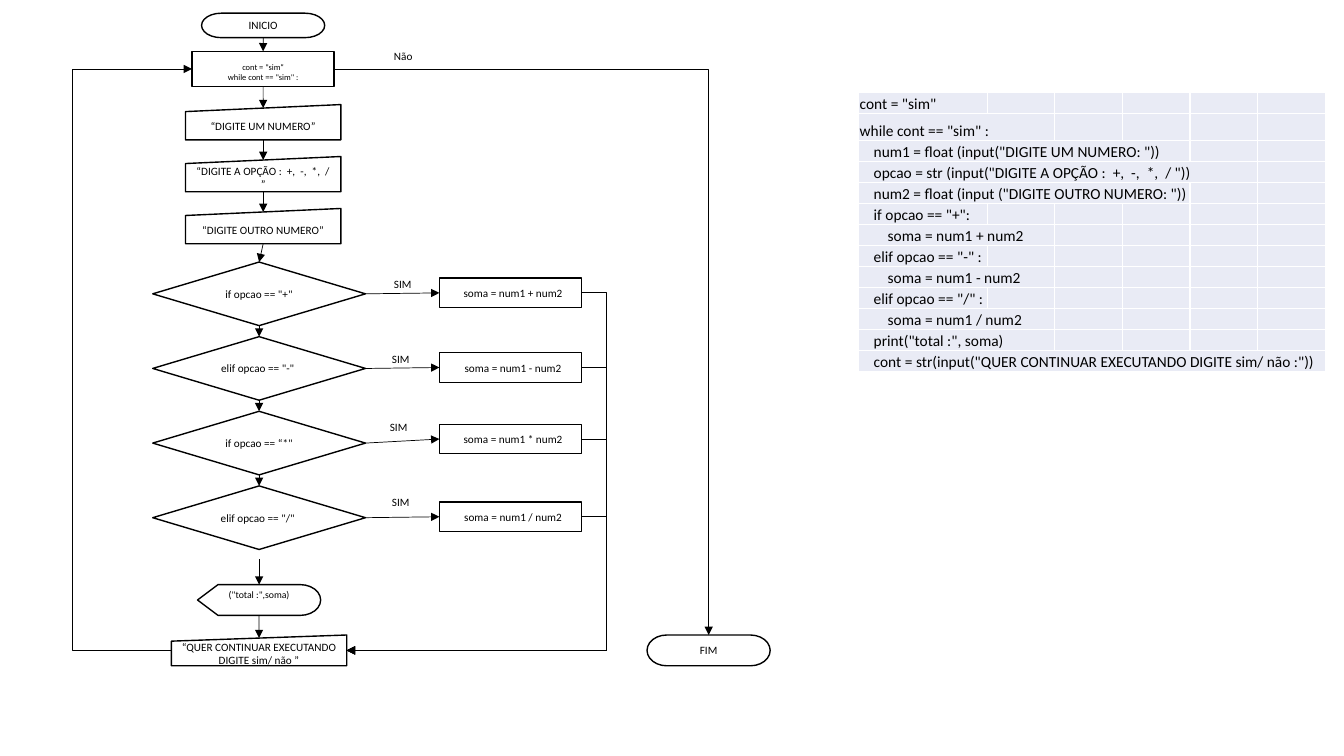
from lxml.etree import SubElement
from pptx import Presentation
from pptx.dml.color import RGBColor as Rgb
from pptx.enum.shapes import MSO_CONNECTOR as Conn, MSO_SHAPE as Kind
from pptx.enum.text import MSO_ANCHOR as Anchor, MSO_AUTO_SIZE as Auto, PP_ALIGN as Align
from pptx.oxml.ns import qn
from pptx.util import Pt

INK = {"black": "000000", "white": "FFFFFF", "cell": "E9EBF5"}
FONT = "Calibri"
TOP, LEFT, BOTTOM, RIGHT = range(4)

# Branches: question, action, top of action, place of label
TESTS = [
    ('if opcao == "+"', "soma = num1 + num2", 198.7, (274.3, 194.4)),
    ('elif opcao == "-" ', "soma = num1 - num2", 252, (272.9, 248.4)),
    ('if opcao == “*"', "soma = num1 * num2", 303.1, (271.4, 296.6)),
    ('elif opcao == "/" ', "soma = num1 / num2", 358.6, (272.9, 350.6)),
]

INPUTS = ["“DIGITE UM NUMERO”", "“DIGITE A OPÇÃO :  +,  -,  *,  / ”",
          "“DIGITE OUTRO NUMERO”"]

# Listing: indent level, columns spanned, code
CODE = [
    (0, 1, 'cont = "sim"'),
    (0, 2, 'while cont == "sim" :'),
    (1, 4, 'num1 = float (input("DIGITE UM NUMERO: "))'),
    (1, 5, 'opcao = str (input("DIGITE A OPÇÃO :  +,  -,  *,  / "))'),
    (1, 4, 'num2 = float (input ("DIGITE OUTRO NUMERO: "))'),
    (1, 1, 'if opcao == "+":'),
    (2, 2, "soma = num1 + num2"),
    (1, 1, 'elif opcao == "-" :'),
    (2, 2, "soma = num1 - num2"),
    (1, 1, 'elif opcao == "/" :'),
    (2, 2, "soma = num1 / num2"),
    (1, 2, 'print("total :", soma)'),
    (1, 6, 'cont = str(input("QUER CONTINUAR EXECUTANDO DIGITE sim/ não :"))'),
]


def color(name):
    return Rgb.from_string(INK[name])


def write(frame, text, size=8, align=Align.CENTER):
    for i, line in enumerate(text.split("\n")):
        par = frame.add_paragraph() if i else frame.paragraphs[0]
        par.alignment = align
        run = par.add_run()
        run.text = line
        run.font.size, run.font.name = Pt(size), FONT
        run.font.color.rgb = color("black")


def box(slide, kind, place, text, size=8, left=7.2, top=3.6, bottom=3.6):
    shape = slide.shapes.add_shape(kind, *map(Pt, place))
    shape.shadow.inherit = False
    shape.fill.solid()
    shape.fill.fore_color.rgb = color("white")
    shape.line.color.rgb = color("black")
    shape.line.width = Pt(1)
    frame = shape.text_frame
    frame.word_wrap = True
    frame.vertical_anchor = Anchor.MIDDLE
    frame.margin_left, frame.margin_top = Pt(left), Pt(top)
    frame.margin_bottom = Pt(bottom)
    write(frame, text, size)
    return shape


def label(slide, x, y, text, width=33.1):
    note = slide.shapes.add_textbox(Pt(x), Pt(y), Pt(width), Pt(17))
    note.text_frame.word_wrap = True
    note.text_frame.auto_size = Auto.SHAPE_TO_FIT_TEXT
    write(note.text_frame, text, align=Align.LEFT)


def arrow(slide, start, end, kind=Conn.STRAIGHT):
    line = slide.shapes.add_connector(kind, *map(Pt, start + end))
    line.line.color.rgb = color("black")
    line.line.width = Pt(0.5)
    SubElement(line.line._get_or_add_ln(), qn("a:tailEnd"), type="triangle")
    SubElement(line._element.spPr, qn("a:effectLst"))
    return line


def link(slide, first, last, out=BOTTOM, into=TOP):
    line = arrow(slide, (0, 0), (0, 0))
    line.begin_connect(first, out)
    line.end_connect(last, into)
    slant(line, last)


def slant(line, last):
    """Let the arrow reach the sloping top of an input box."""
    if last.auto_shape_type == Kind.FLOWCHART_MANUAL_INPUT:
        line.end_y = last.top + last.height // 10


def elbow(slide, start, end, via=None):
    """Bend at x = via, or once at the corner when there is no via."""
    geom = arrow(slide, start, end, Conn.ELBOW)._element.spPr.find(qn("a:prstGeom"))
    if via is None:
        geom.set("prst", "bentConnector2")
        return
    bend = round((via - start[0]) / (end[0] - start[0]) * 100000)
    guides = geom.find(qn("a:avLst"))
    if guides is None:
        guides = SubElement(geom, qn("a:avLst"))
    SubElement(guides, qn("a:gd"), name="adj1", fmla=f"val {bend}")


def style(cell):
    props = cell._tc.get_or_add_tcPr()
    for side in ("lnL", "lnR", "lnT", "lnB"):
        edge = SubElement(props, qn(f"a:{side}"), w=str(Pt(1)))
        fill = SubElement(edge, qn("a:solidFill"))
        SubElement(fill, qn("a:srgbClr"), val=INK["white"])
    cell.fill.solid()
    cell.fill.fore_color.rgb = color("cell")
    cell.vertical_anchor = Anchor.BOTTOM
    cell.margin_left = cell.margin_right = cell.margin_top = Pt(0.7)
    cell.margin_bottom = 0
    SubElement(cell.text_frame.paragraphs[0]._p, qn("a:endParaRPr"), sz="1100")


def listing(slide):
    grid = slide.shapes.add_table(len(CODE), 6, Pt(613.4), Pt(66.2),
                                  Pt(333), Pt(199.4)).table
    for i, col in enumerate(grid.columns):
        col.width = Pt(48.3 if i else 91.8)
    for i, (level, span, text) in enumerate(CODE):
        grid.rows[i].height = Pt(19.4 if i == 1 else 15)
        for j in range(6):
            style(grid.cell(i, j))
        cell = grid.cell(i, 0)
        if span > 1:
            cell.merge(grid.cell(i, span - 1))
        cell.margin_left = Pt(0.7 + 10 * level)
        write(cell.text_frame, text, 11, Align.LEFT)


def chart(slide):
    # Start, loop and inputs
    begin = box(slide, Kind.FLOWCHART_TERMINATOR, (144, 9.4, 88, 17.5), "INICIO")
    loop = box(slide, Kind.FLOWCHART_PROCESS, (137.2, 36.7, 101.5, 25.2),
               'cont = "sim“\nwhile cont == "sim" :', size=6, top=8)
    chain = [begin, loop]
    for i, text in enumerate(INPUTS):
        chain.append(box(slide, Kind.FLOWCHART_MANUAL_INPUT,
                         (132.5, 74.7 + 37.1 * i, 111, 25.2), text))

    # Decisions and their actions
    for i, (test, act, top, spot) in enumerate(TESTS):
        ask = box(slide, Kind.FLOWCHART_DECISION,
                  (109.1, 187.2 + 53.3 * i, 152, 45.4), test)
        step = box(slide, Kind.FLOWCHART_PROCESS, (313.9, top, 101.5, 21), act,
                   left=10.8)
        chain.append(ask)
        link(slide, ask, step, RIGHT, LEFT)
        label(slide, *spot, "SIM")
        elbow(slide, (415.4, top + 10.5), (247.7, 464.6), via=433.4)
    for first, last in zip(chain, chain[1:]):
        link(slide, first, last)

    # Result, question and end
    show = box(slide, Kind.FLOWCHART_DISPLAY, (141.1, 417.6, 88, 22),
               '("total :",soma)', size=7, bottom=11)
    again = box(slide, Kind.FLOWCHART_MANUAL_INPUT, (122.4, 453.6, 125.3, 22),
                "“QUER CONTINUAR EXECUTANDO DIGITE sim/ não ”")
    arrow(slide, (185.1, 399.6), (185.1, 417.6)).end_connect(show, TOP)
    link(slide, show, again)
    box(slide, Kind.FLOWCHART_TERMINATOR, (462.2, 453.6, 88, 22), "FIM")

    # Way back and way out
    elbow(slide, (122.4, 464.6), (137.2, 49.3), via=51.8)
    elbow(slide, (238.7, 49.3), (506.2, 453.6))
    label(slide, 274.3, 31.7, "Não", width=44)


def main():
    deck = Presentation()
    deck.slide_width, deck.slide_height = Pt(960), Pt(540)
    slide = deck.slides.add_slide(deck.slide_layouts[6])
    chart(slide)
    listing(slide)
    deck.save("out.pptx")


if __name__ == "__main__":
    main()
